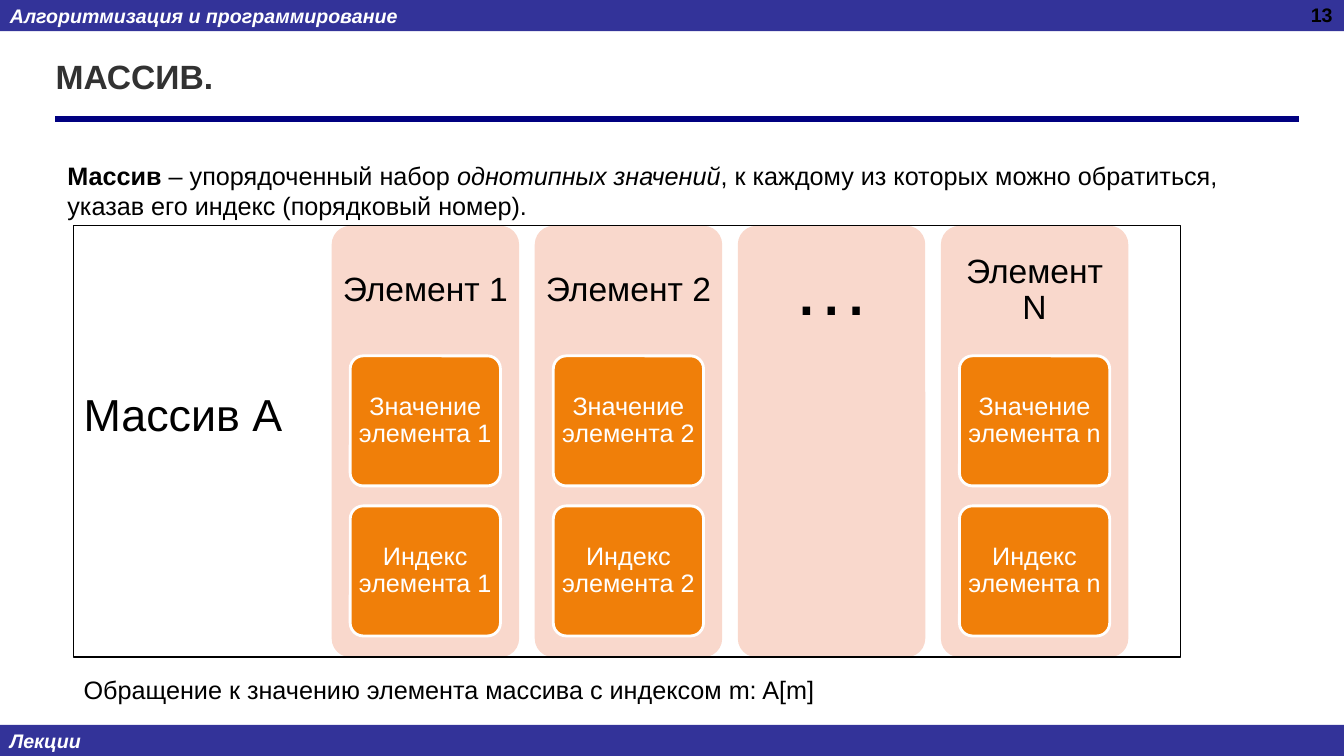
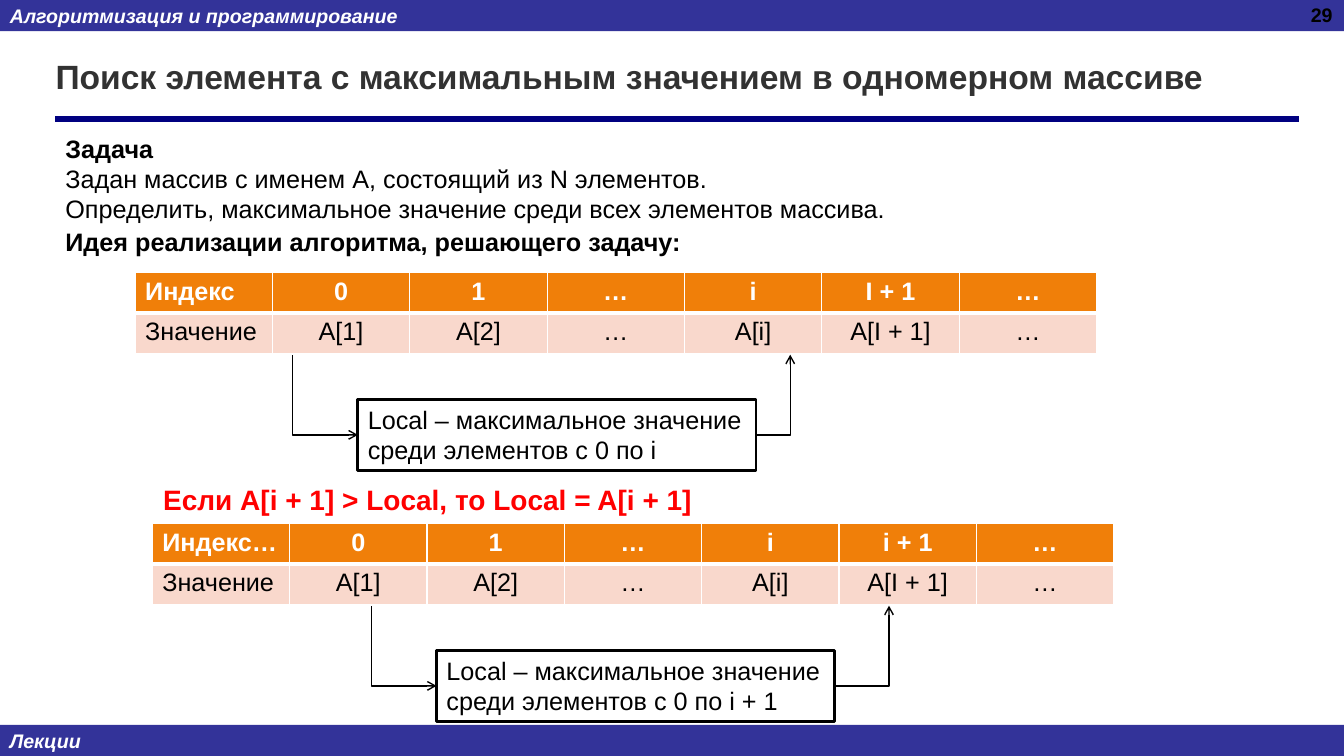
from dataclasses import dataclass
from typing import NamedTuple

from lxml.etree import SubElement
from pptx import Presentation
from pptx.dml.color import RGBColor
from pptx.enum.shapes import MSO_CONNECTOR as Connector, MSO_SHAPE as Preset
from pptx.enum.text import MSO_ANCHOR as Anchor, MSO_AUTO_SIZE as AutoSize, PP_ALIGN as Align
from pptx.oxml.ns import qn
from pptx.util import Inches, Pt

# Theme
FONT = "Arial"
WHITE = RGBColor(0xFF, 0xFF, 0xFF)
BLACK = RGBColor(0x00, 0x00, 0x00)
BAND = RGBColor(0x33, 0x33, 0x99)
RULE = RGBColor(0x00, 0x00, 0x80)
TITLE = RGBColor(0x32, 0x32, 0x32)
ORANGE = RGBColor(0xF0, 0x7F, 0x09)
PEACH = RGBColor(0xF9, 0xD8, 0xCC)
RED = RGBColor(0xFF, 0x00, 0x00)
SLIDE_WIDTH, SLIDE_HEIGHT = Inches(13.333), Inches(7.5)
BAND_HEIGHT = 4.13
DEFAULT_INSETS = (0.1, 0.05, 0.1, 0.05)


class Box(NamedTuple):
    """Place and size in percent of the slide."""
    left: float
    top: float
    width: float
    height: float

    def emu(self) -> tuple[int, int, int, int]:
        return across(self.left), down(self.top), across(self.width), down(self.height)


class Run(NamedTuple):
    text: str
    bold: bool = False
    italic: bool = False


@dataclass(frozen=True)
class TextStyle:
    size: float = 18
    color: RGBColor = BLACK
    align: Align = Align.LEFT
    anchor: Anchor = Anchor.TOP
    insets: tuple[float, float, float, float] = DEFAULT_INSETS
    line_spacing: float | None = None


@dataclass(frozen=True)
class ArrayColumn:
    heading: str
    number: str = ""
    size: float = 24
    inset: float = 0.05


@dataclass(frozen=True)
class SearchStep:
    left: float
    top: float
    label: str
    next_index: str
    box_left: float
    arrow_right: float
    range_text: str


BODY = TextStyle()


def across(percent: float) -> int:
    return round(SLIDE_WIDTH * percent / 100)


def down(percent: float) -> int:
    return round(SLIDE_HEIGHT * percent / 100)


# Text
def write(frame, paragraphs: list[list[Run]], style: TextStyle) -> None:
    frame.word_wrap = True
    frame.auto_size = AutoSize.NONE
    frame.vertical_anchor = style.anchor
    (frame.margin_left, frame.margin_top,
     frame.margin_right, frame.margin_bottom) = map(Inches, style.insets)
    for number, runs in enumerate(paragraphs):
        paragraph = frame.add_paragraph() if number else frame.paragraphs[0]
        write_runs(paragraph, runs, style)


def write_runs(paragraph, runs: list[Run], style: TextStyle) -> None:
    paragraph.alignment = style.align
    if style.line_spacing:
        paragraph.line_spacing = style.line_spacing
    for item in runs:
        run = paragraph.add_run()
        run.text = item.text
        font = run.font
        font.name, font.size = FONT, Pt(style.size)
        font.bold, font.italic = item.bold, item.italic
        font.color.rgb = style.color


def add_text(slide, box: Box, paragraphs: list[list[Run]], style: TextStyle = BODY) -> None:
    write(slide.shapes.add_textbox(*box.emu()).text_frame, paragraphs, style)


# Shapes and lines
def add_panel(slide, box: Box, fill: RGBColor | None = None, line: RGBColor | None = None,
              width: float = 1, preset: Preset = Preset.RECTANGLE):
    shape = slide.shapes.add_shape(preset, *box.emu())
    shape.shadow.inherit = False
    if preset == Preset.ROUNDED_RECTANGLE:
        shape.adjustments[0] = 0.1
    if fill is None:
        shape.fill.background()
    else:
        shape.fill.solid()
        shape.fill.fore_color.rgb = fill
    if line is None:
        shape.line.fill.background()
    else:
        shape.line.color.rgb = line
        shape.line.width = Pt(width)
    return shape


def add_line(slide, start: tuple[float, float], end: tuple[float, float], color: RGBColor,
             width: float, kind: Connector = Connector.STRAIGHT):
    connector = slide.shapes.add_connector(
        kind, across(start[0]), down(start[1]), across(end[0]), down(end[1]))
    connector.line.color.rgb = color
    connector.line.width = Pt(width)
    SubElement(connector.element.spPr, qn("a:effectLst"))
    return connector


def add_corner_arrow(slide, start: tuple[float, float], end: tuple[float, float],
                     arrow_end: str) -> None:
    """One bend: sideways from the start, then up to the end."""
    connector = add_line(slide, start, end, BLACK, 1, Connector.ELBOW)
    connector.element.spPr.find(qn("a:prstGeom")).set("prst", "bentConnector2")
    line = connector.element.spPr.find(qn("a:ln"))
    SubElement(line, qn(f"a:{arrow_end}"), type="arrow")


# Shared slide frame
def add_framed_slide(presentation, title: str, number: int):
    slide = presentation.slides.add_slide(presentation.slide_layouts[5])
    band_style = TextStyle(14, WHITE, anchor=Anchor.MIDDLE)
    for top, label in ((0, "Алгоритмизация и программирование"), (100 - BAND_HEIGHT, "Лекции")):
        band = add_panel(slide, Box(0, top, 100, BAND_HEIGHT), BAND)
        write(band.text_frame, [[Run(label, True, True)]], band_style)
    add_line(slide, (4.13, 15.73), (96.68, 15.73), RULE, 4.5)
    heading = slide.shapes.title
    heading.left, heading.top, heading.width, heading.height = Box(3.38, 4.4, 91.58, 11.33).emu()
    write(heading.text_frame, [[Run(title, True)]], TextStyle(24, TITLE, anchor=Anchor.MIDDLE))
    add_text(slide, Box(76.58, 0, 23.32, 6.67), [[Run(str(number), True)]],
             TextStyle(14, align=Align.RIGHT, insets=(0.1, 0.03, 0.1, 0.05)))
    return slide


# Array diagram
ARRAY = Box(5.48, 29.87, 82.35, 57.07)
COLUMN_LEFT, COLUMN_PITCH, COLUMN_WIDTH = 24.68, 15.11, 13.95
CARD = Box(1.38, 17.2, 11.18, 17.2)
CARD_PITCH = 19.85
CARD_STYLE = TextStyle(18, WHITE, Align.CENTER, Anchor.MIDDLE, (0.05, 0.04, 0.05, 0.04), 0.9)


def add_array_column(slide, position: int, column: ArrayColumn) -> None:
    left = COLUMN_LEFT + position * COLUMN_PITCH
    panel = add_panel(slide, Box(left, ARRAY.top, COLUMN_WIDTH, ARRAY.height), PEACH,
                      preset=Preset.ROUNDED_RECTANGLE)
    inset = column.inset
    write(panel.text_frame, [[Run(column.heading)]],
          TextStyle(column.size, BLACK, Align.CENTER, Anchor.MIDDLE,
                    (inset, inset, inset, 3 + inset), 0.9))
    if not column.number:
        return
    for row, name in enumerate(("Значение", "Индекс")):
        box = Box(left + CARD.left, ARRAY.top + CARD.top + row * CARD_PITCH,
                  CARD.width, CARD.height)
        card = add_panel(slide, box, ORANGE, WHITE, 2, Preset.ROUNDED_RECTANGLE)
        write(card.text_frame, [[Run(f"{name} элемента {column.number}")]], CARD_STYLE)


def build_array_slide(presentation) -> None:
    slide = add_framed_slide(presentation, "МАССИВ.", 13)
    add_text(slide, Box(4.28, 20.53, 91.88, 9.47), [[
        Run("Массив", bold=True),
        Run(" – упорядоченный набор "),
        Run("однотипных значений", italic=True),
        Run(", к каждому из которых можно обратиться, указав его индекс (порядковый номер)."),
    ]])
    columns = (ArrayColumn("Элемент 1", "1"), ArrayColumn("Элемент 2", "2"),
               ArrayColumn("…", size=56, inset=0.18), ArrayColumn("Элемент N", "n"))
    for position, column in enumerate(columns):
        add_array_column(slide, position, column)
    frame = add_panel(slide, ARRAY, line=BLACK)
    write(frame.text_frame, [[Run("Массив A")]], TextStyle(32, insets=(0.1, 1.6, 0.1, 0.05)))
    add_text(slide, Box(5.48, 88.53, 83.55, 5.33),
             [[Run("Обращение к значению элемента массива с индексом m: A[m]")]])


# Search tables
TABLE_WIDTH, TABLE_HEIGHT = 71.55, 10.8
ARROW_GAP, BOX_GAP = 10.93, 16.8
BOX_WIDTH, BOX_HEIGHT = 29.63, 9.47
ARROW_REACH = 4.84


def set_borders(cell, top: float, bottom: float) -> None:
    properties = cell._tc.get_or_add_tcPr()
    for side, width in (("L", 1), ("R", 1), ("T", top), ("B", bottom)):
        border = SubElement(properties, qn(f"a:ln{side}"), w=str(Pt(width)))
        fill = SubElement(border, qn("a:solidFill"))
        SubElement(fill, qn("a:srgbClr"), val=str(WHITE))


def add_index_table(slide, step: SearchStep) -> None:
    rows = ((step.label, "0", "1", "…", "i", step.next_index, "…"),
            ("Значение", "A[1]", "A[2]", "…", "A[i]", "A[I + 1]", "…"))
    box = Box(step.left, step.top, TABLE_WIDTH, TABLE_HEIGHT)
    table = slide.shapes.add_table(len(rows), len(rows[0]), *box.emu()).table
    for row, texts in enumerate(rows):
        header = row == 0
        for column, text in enumerate(texts):
            cell = table.cell(row, column)
            set_borders(cell, 1 if header else 3, 3 if header else 1)
            cell.fill.solid()
            cell.fill.fore_color.rgb = ORANGE if header else PEACH
            style = TextStyle(color=WHITE if header else BLACK,
                              align=Align.CENTER if column else Align.LEFT)
            write_runs(cell.text_frame.paragraphs[0], [Run(text, bold=header)], style)


def add_search_step(slide, step: SearchStep) -> None:
    add_index_table(slide, step)
    box = Box(step.box_left, step.top + BOX_GAP, BOX_WIDTH, BOX_HEIGHT)
    panel = add_panel(slide, box, WHITE, BLACK, 2)
    write(panel.text_frame, [[Run("Local – максимальное значение")], [Run(step.range_text)]], BODY)
    middle, arrow_top = box.top + box.height / 2, step.top + ARROW_GAP
    add_corner_arrow(slide, (box.left, middle), (box.left - ARROW_REACH, arrow_top), "headEnd")
    add_corner_arrow(slide, (box.left + box.width, middle), (step.arrow_right, arrow_top),
                     "tailEnd")


def build_search_slide(presentation) -> None:
    slide = add_framed_slide(
        presentation, "Поиск элемента с максимальным значением в одномерном массиве", 29)
    add_text(slide, Box(4.13, 16.93, 93.38, 13.47), [
        [Run("Задача", bold=True)],
        [Run("Задан массив с именем А, состоящий из N элементов.")],
        [Run("Определить, максимальное значение среди всех элементов массива.")],
    ])
    add_text(slide, Box(4.13, 29.33, 93.38, 5.33),
             [[Run("Идея реализации алгоритма, решающего задачу:", bold=True)]])
    for step in (
        SearchStep(10.05, 36, "Индекс", "I + 1", 26.63, 58.8, "среди элементов с 0 по i"),
        SearchStep(11.33, 69.2, "Индекс…", "i + 1", 32.48, 66.15, "среди элементов с 0 по i + 1"),
    ):
        add_search_step(slide, step)
    add_text(slide, Box(11.4, 63.2, 73.5, 5.87),
             [[Run("Если A[i + 1] > Local, то Local = A[i + 1]", bold=True)]], TextStyle(20, RED))


def main() -> None:
    presentation = Presentation()
    presentation.slide_width, presentation.slide_height = SLIDE_WIDTH, SLIDE_HEIGHT
    build_array_slide(presentation)
    build_search_slide(presentation)
    presentation.save("out.pptx")


if __name__ == "__main__":
    main()
